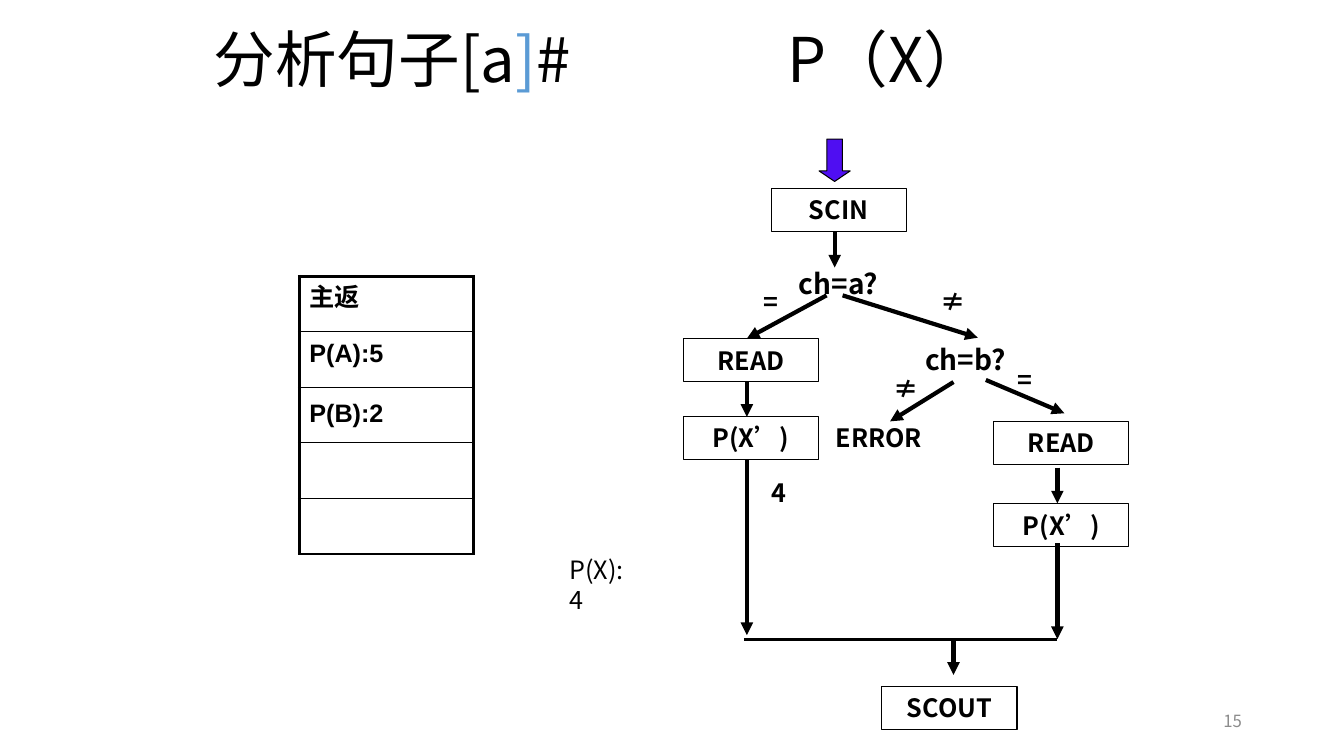
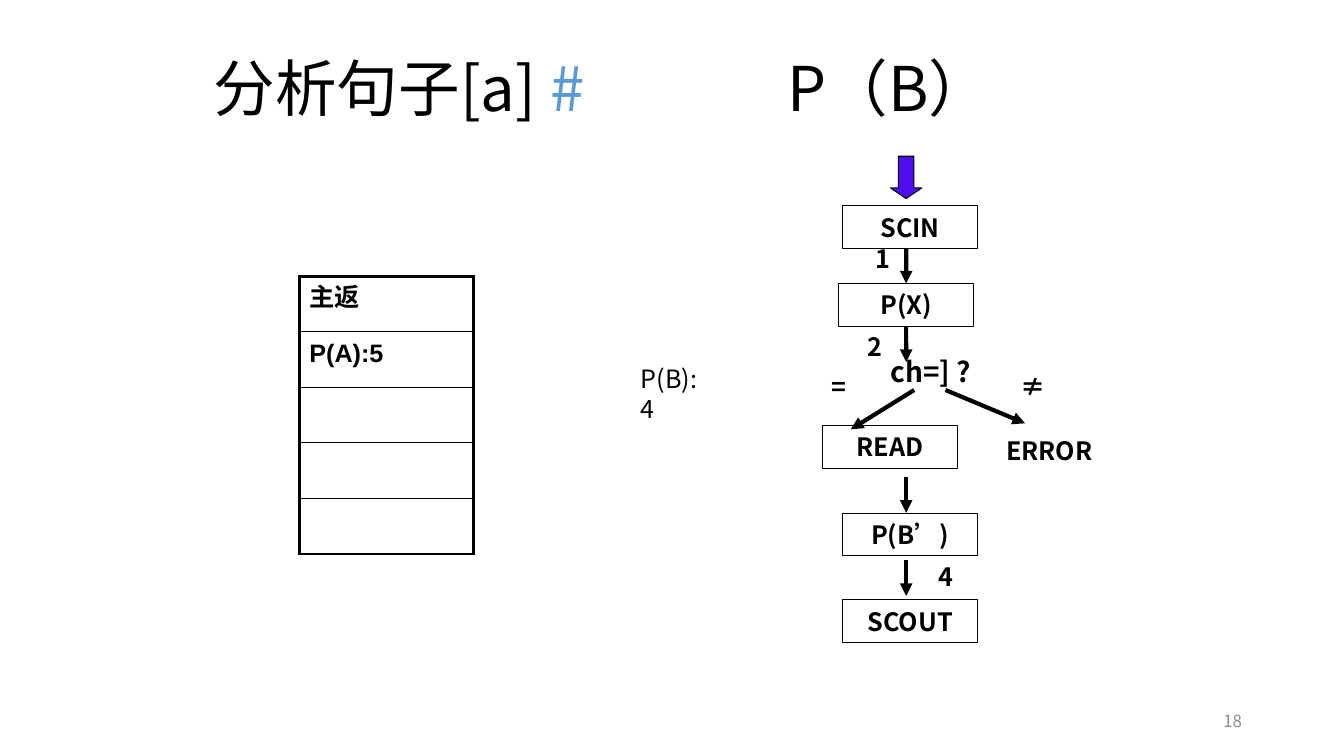
"""Two slides tracing a recursive-descent parse: the call stack beside a flowchart."""
from lxml.etree import SubElement as Sub
from pptx import Presentation
from pptx.dml.color import RGBColor as RGB
from pptx.enum.shapes import MSO_CONNECTOR as LINE, MSO_SHAPE as SHAPE
from pptx.enum.text import MSO_ANCHOR as ANCHOR, PP_ALIGN as ALIGN
from pptx.oxml import parse_xml
from pptx.oxml.ns import nsdecls, qn
from pptx.util import Pt

COLORS = {"ink": "000000", "current": "5B9BD5", "entry": "4F0EF2", "page": "8C8C8C"}
FONT, STACK_FONT = "Noto Sans CJK SC", "Arial"
BOX_W, BOX_H = 96.5, 30.6
LEFT, MAIN, OUT, RIGHT = 533.5, 596.2, 681.1, 755.3
AXIS = 647.3
JOIN = 456.5
STEP = 25.5
STACK_X, STACK_Y, STACK_W, ROW_H = 213.8, 197.3, 124.6, 39.7
STACK_ROWS = 5
ROW_INSETS = (0.7, 6, 9, 0, 0)

SLIDES = [
    {
        "page": "15",
        "title": [("分析句子[a", "ink"), ("]", "current"), ("#\tP（X）", "ink")],
        "title_top": 0,
        "entry": (MAIN, 99.4),
        "stack": ["主返", "P(A):5", "P(B):2"],
        "pushed": ("P(X):4", 399.6, 392.4),
        "boxes": [
            ("SCIN", 550.8, 134.6),
            ("READ", 488.1, 241.9),
            ("P(X’)", 488.1, 297.4),
            ("READ", 709.9, 301),
            ("P(X’)", 709.9, 360),
            ("SCOUT", 630, 490.3),
        ],
        "error": (579.6, 297.4),
        "labels": [
            ("=", 550.8, 200.9), ("≠", OUT, 200.9),
            ("≠", 647.3, 262.8), ("=", 732.2, 257), ("4", 556.2, 337.7),
        ],
        "tests": [("ch=a?", 599, 186.5), ("ch=b?", 689.8, 241.2)],
        "drops": [
            (MAIN, 165.6, STEP), (LEFT, 272.2, STEP), (LEFT, 328.3, 125.3),
            (RIGHT, 334.1, STEP), (RIGHT, 388.1, JOIN - 388.1), (OUT, JOIN, STEP),
        ],
        "branches": [
            (590.4, 211, LEFT, 241.9), (601.9, 211, 698.4, 241.2),
            (OUT, 272.9, 635.8, 301), (704.2, 271.4, 760.3, 295.2),
        ],
        "join": (531.4, JOIN, RIGHT, JOIN),
    },
    {
        "page": "18",
        "title": [("分析句子[a] ", "ink"), ("#", "current"), ("\tP（B）", "ink")],
        "title_top": 20.2,
        "entry": (AXIS, 111.6),
        "stack": ["主返", "P(A):5"],
        "pushed": ("P(B):4", 450.7, 255.6),
        "boxes": [
            ("SCIN", 601.9, 146.9),
            ("P(X)", 599, 202.5),
            ("READ", 587.5, 303.8),
            ("P(B’)", 601.9, 366.5),
            ("SCOUT", 601.9, 428.4),
        ],
        "error": (701.3, 306.7),
        "labels": [
            ("1", 630.4, 170.6), ("2", 625, 233.3),
            ("=", 599, 261.4), ("≠", 738, 261.4), ("4", 675.7, 397.4),
        ],
        "tests": [("ch=] ?", 665, 249.8)],
        "drops": [(AXIS, y, STEP) for y in (177.5, 233.1, 340.8, 400.2)],
        "branches": [(653, 278.6, 607.7, 306.7), (675.4, 278.6, 732.2, 302.4)],
        "join": None,
    },
]


def rgb(name):
    return RGB.from_string(COLORS[name])


def style(p, size, color="ink", bold=False, font=FONT, align=ALIGN.LEFT):
    p.alignment = align
    p.font.size, p.font.bold, p.font.name = Pt(size), bold, font
    p.font.color.rgb = rgb(color)
    Sub(p._p.pPr.find(qn("a:defRPr")), qn("a:ea"), typeface=FONT)


def add_text(s, text, x, y, w, h, size, anchor=ANCHOR.MIDDLE, inset=7.2, **look):
    tf = s.shapes.add_textbox(Pt(x), Pt(y), Pt(w), Pt(h)).text_frame
    tf.word_wrap, tf.vertical_anchor = True, anchor
    tf.margin_left = tf.margin_right = Pt(inset)
    p = tf.paragraphs[0]
    p.text = text
    style(p, size, **look)


def add_title(s, runs, top):
    tf = s.shapes.add_textbox(Pt(145.4), Pt(top), Pt(648), Pt(90)).text_frame
    tf.word_wrap, tf.vertical_anchor = True, ANCHOR.MIDDLE
    p = tf.paragraphs[0]
    tabs = Sub(p._p.get_or_add_pPr(), qn("a:tabLst"))
    Sub(tabs, qn("a:tab"), pos=str(Pt(410)), algn="l")
    p.line_spacing = 0.9
    style(p, 44)
    for text, color in runs:
        r = p.add_run()
        r.text = text
        r.font.color.rgb = rgb(color)


def add_preset(s, kind, x, y, w, h):
    sp = s.shapes.add_shape(kind, Pt(x), Pt(y), Pt(w), Pt(h))
    sp.shadow.inherit = False
    sp.line.color.rgb, sp.line.width = rgb("ink"), Pt(0.75)
    return sp


def add_box(s, text, x, y):
    sp = add_preset(s, SHAPE.RECTANGLE, x, y, BOX_W, BOX_H)
    sp.fill.background()
    tf = sp.text_frame
    tf.word_wrap, tf.vertical_anchor = False, ANCHOR.MIDDLE
    p = tf.paragraphs[0]
    p.text = text
    style(p, 18, bold=True, align=ALIGN.CENTER)
    return sp


def add_entry(s, x, y):
    sp = add_preset(s, SHAPE.DOWN_ARROW, x - 11.2, y, 22.3, 30.2)
    sp.adjustments[0], sp.adjustments[1] = 0.5, 0.337
    sp.fill.solid()
    sp.fill.fore_color.rgb = rgb("entry")


def side_at(boxes, x, y):
    for box in boxes:
        middle = box.left + box.width / 2
        for side, edge in ((0, box.top), (2, box.top + box.height)):
            if abs(Pt(x) - middle) < Pt(1) and abs(Pt(y) - edge) < Pt(1):
                return box, side
    return None


def add_line(s, boxes, x1, y1, x2, y2, width=3, arrow=True):
    c = s.shapes.add_connector(LINE.STRAIGHT, Pt(x1), Pt(y1), Pt(x2), Pt(y2))
    c.line.color.rgb, c.line.width = rgb("ink"), Pt(width)
    if arrow:
        Sub(c.line._get_or_add_ln(), qn("a:tailEnd"), type="triangle")
    Sub(c._element.spPr, qn("a:effectLst"))
    for connect, x, y in ((c.begin_connect, x1, y1), (c.end_connect, x2, y2)):
        site = side_at(boxes, x, y)
        if site:
            connect(*site)


def set_borders(cell, first, last):
    tcPr = cell._tc.get_or_add_tcPr()
    widths = {"lnL": 2.25, "lnR": 2.25,
              "lnT": 2.25 if first else 0.75, "lnB": 2.25 if last else 0.75}
    for i, (tag, width) in enumerate(widths.items()):
        tcPr.insert(i, parse_xml(
            f'<a:{tag} {nsdecls("a")} w="{Pt(width)}"><a:solidFill>'
            f'<a:srgbClr val="{COLORS["ink"]}"/></a:solidFill></a:{tag}>'))


def add_stack(s, entries):
    table = s.shapes.add_table(STACK_ROWS, 1, Pt(STACK_X), Pt(STACK_Y),
                               Pt(STACK_W), Pt(ROW_H * STACK_ROWS)).table
    table.first_row = table.horz_banding = False
    for i, inset in enumerate(ROW_INSETS):
        table.rows[i].height = Pt(ROW_H)
        cell = table.cell(i, 0)
        cell.fill.background()
        cell.margin_top, cell.margin_bottom = Pt(inset), Pt(0)
        p = cell.text_frame.paragraphs[0]
        if i < len(entries):
            p.text = entries[i]
        style(p, 18, bold=True, font=STACK_FONT)
        set_borders(cell, i == 0, i == STACK_ROWS - 1)


def build(prs, d):
    s = prs.slides.add_slide(prs.slide_layouts[6])
    add_title(s, d["title"], d["title_top"])
    add_text(s, d["page"], 678.2, 500.4, 216, 28.8, 12, color="page", align=ALIGN.RIGHT)
    add_stack(s, d["stack"])
    text, x, y = d["pushed"]
    add_text(s, text, x, y, 59, 29, 18, anchor=ANCHOR.TOP)

    add_entry(s, *d["entry"])
    boxes = [add_box(s, *box) for box in d["boxes"]]
    centred = {"bold": True, "align": ALIGN.CENTER}
    add_text(s, "ERROR", *d["error"], BOX_W, BOX_H, 18, **centred)
    for key, width, size in (("labels", 23, 18), ("tests", BOX_W, 20)):
        for text, x, y in d[key]:
            add_text(s, text, x - width / 2, y, width, 30, size,
                     anchor=ANCHOR.TOP, inset=0, **centred)
    for x, y, length in d["drops"]:
        add_line(s, boxes, x, y, x, y + length)
    for branch in d["branches"]:
        add_line(s, boxes, *branch)
    if d["join"]:
        add_line(s, boxes, *d["join"], width=2.25, arrow=False)


def main():
    prs = Presentation()
    prs.slide_width, prs.slide_height = Pt(960), Pt(540)
    for d in SLIDES:
        build(prs, d)
    prs.save("out.pptx")


if __name__ == "__main__":
    main()
